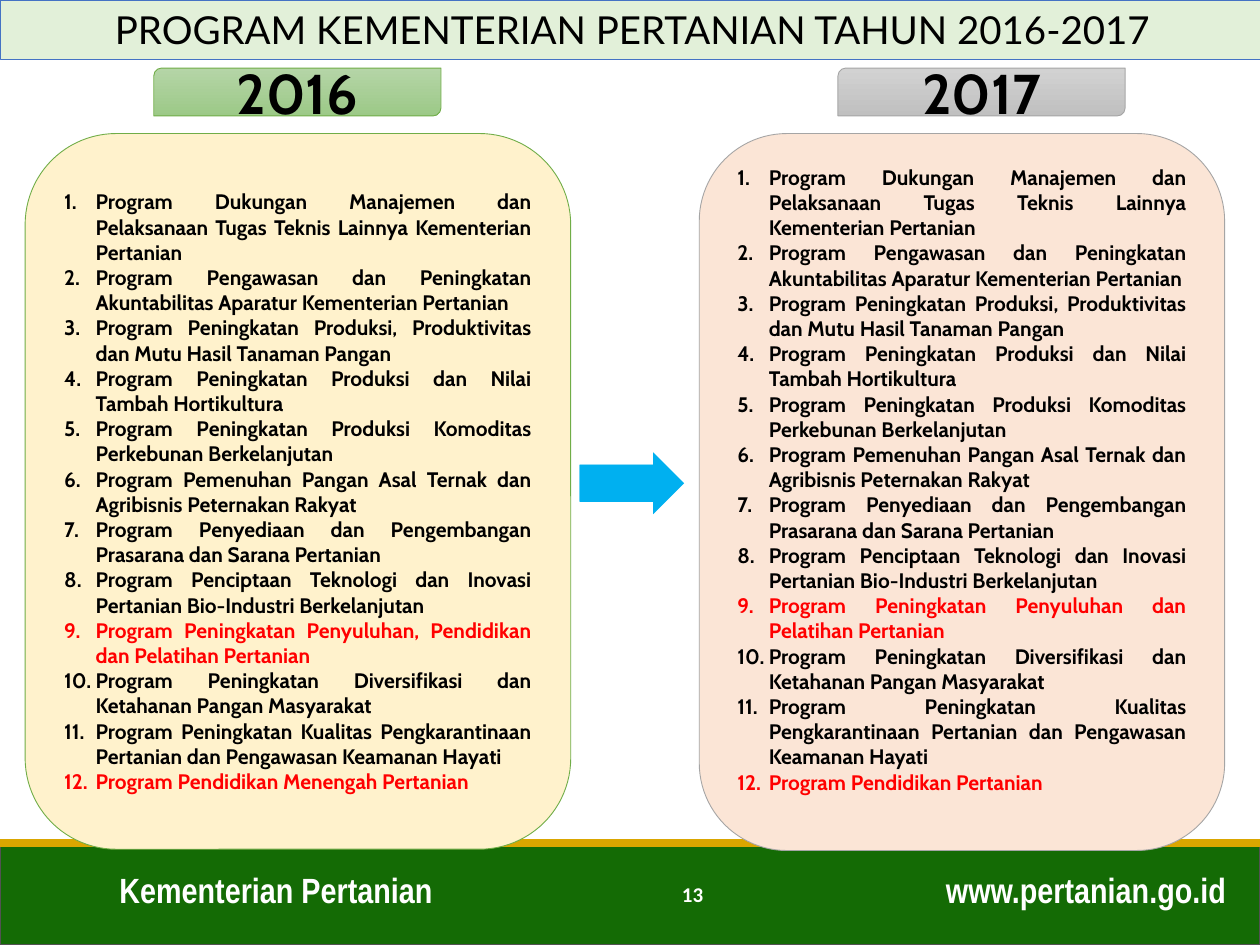
from pptx import Presentation
from pptx.dml.color import RGBColor
from pptx.enum.shapes import MSO_CONNECTOR, MSO_SHAPE as SHAPE
from pptx.enum.text import MSO_ANCHOR as ANCHOR, MSO_AUTO_SIZE, PP_ALIGN as ALIGN
from pptx.oxml.ns import qn
from pptx.util import Inches, Pt
from lxml import etree

TITLE = "PROGRAM KEMENTERIAN PERTANIAN TAHUN 2016-2017"
SHARED_START = [
    "Program Dukungan Manajemen dan Pelaksanaan Tugas Teknis Lainnya Kementerian Pertanian",
    "Program Pengawasan dan Peningkatan Akuntabilitas Aparatur Kementerian Pertanian",
    "Program Peningkatan Produksi, Produktivitas dan Mutu Hasil Tanaman Pangan",
    "Program Peningkatan Produksi dan Nilai Tambah Hortikultura",
    "Program Peningkatan Produksi Komoditas Perkebunan Berkelanjutan",
    "Program Pemenuhan Pangan Asal Ternak dan Agribisnis Peternakan Rakyat",
    "Program Penyediaan dan Pengembangan Prasarana dan Sarana Pertanian",
    "Program Penciptaan Teknologi dan Inovasi Pertanian Bio-Industri Berkelanjutan",
]
SHARED_END = [
    "Program Peningkatan Diversifikasi dan Ketahanan Pangan Masyarakat",
    "Program Peningkatan Kualitas Pengkarantinaan Pertanian dan Pengawasan Keamanan Hayati",
]
YEARS = [
    {"year": "2017", "panel": (5.55, 1.06, 4.17, 5.69), "fill": "FBE5D6", "line": "A5A5A5",
     "tab_left": 6.65, "tab_fill": ("D2D2D2", "C0C0C0"), "bottom": 0.25,
     "counselling": "Program Peningkatan Penyuluhan dan Pelatihan Pertanian",
     "education": "Program Pendidikan Pertanian"},
    {"year": "2016", "panel": (0.2, 1.06, 4.33, 5.68), "fill": "FFF2CC", "line": "70AD47",
     "tab_left": 1.22, "tab_fill": ("B5D5A7", "9CC987"), "bottom": 0.05,
     "counselling": "Program Peningkatan Penyuluhan, Pendidikan dan Pelatihan Pertanian",
     "education": "Program Pendidikan Menengah Pertanian"},
]
FOOTER = [
    ("Kementerian Pertanian", (0.85, 6.84, 3.66, 0.44), ALIGN.LEFT, 20, "Arial Narrow"),
    ("www.pertanian.go.id", (7.05, 6.84, 2.78, 0.44), ALIGN.RIGHT, 20, "Arial Narrow"),
    ("13", (3.43, 6.9, 2.25, 0.4), ALIGN.RIGHT, 12, "Calibri"),
]
ARROW = [(SHAPE.RIGHT_ARROW, (4.6, 3.59, 0.83, 0.49)), (SHAPE.RECTANGLE, (4.6, 3.69, 0.68, 0.29))]
FRAME = {"word_wrap": True, "auto_size": MSO_AUTO_SIZE.NONE, "vertical_anchor": ANCHOR.MIDDLE}


def rgb(value):
    return RGBColor.from_string(value)


def paint(shape, fill, line=None, width=0.5):
    if isinstance(fill, tuple):
        shape.fill.gradient()
        shape.fill.gradient_angle = 270
        for stop, colour in zip(shape.fill.gradient_stops, fill):
            stop.color.rgb = rgb(colour)
    else:
        shape.fill.solid()
        shape.fill.fore_color.rgb = rgb(fill)
    if line:
        shape.line.color.rgb = rgb(line)
        shape.line.width = Pt(width)
    else:
        shape.line.fill.background()


def add_block(slide, kind, box, fill, line=None, width=0.5):
    shape = slide.shapes.add_shape(kind, *map(Inches, box))
    shape.shadow.inherit = False
    paint(shape, fill, line, width)
    return shape


def write(shape, lines, align, **font):
    frame = shape.text_frame
    for key, value in FRAME.items():
        setattr(frame, key, value)
    for i, (text, colour) in enumerate(lines):
        paragraph = frame.paragraphs[0] if i == 0 else frame.add_paragraph()
        paragraph.alignment = align
        run = paragraph.add_run()
        run.text = text
        run.font.color.rgb = rgb(colour)
        for key, value in font.items():
            setattr(run.font, key, value)


def number(paragraph):
    props = paragraph._p.get_or_add_pPr()
    props.set("marL", str(Inches(0.25)))
    props.set("indent", str(-Inches(0.25)))
    etree.SubElement(props, qn("a:buFont"), typeface="+mj-lt")
    etree.SubElement(props, qn("a:buAutoNum"), type="arabicPeriod")


def add_footer(slide):
    add_block(slide, SHAPE.RECTANGLE, (0, 6.69, 10, 0.81), "146B05", "525252", 1)
    stripe = slide.shapes.add_connector(
        MSO_CONNECTOR.STRAIGHT, 0, Inches(6.69), Inches(10), Inches(6.69))
    stripe.line.color.rgb = rgb("DAA600")
    stripe.line.width = Pt(4.5)
    etree.SubElement(stripe._element.spPr, qn("a:effectLst"))
    for text, box, align, size, face in FOOTER:
        label = slide.shapes.add_textbox(*map(Inches, box))
        write(label, [(text, "FFFFFF")], align, size=Pt(size), name=face, bold=True)


def add_year(slide, plan):
    panel = add_block(slide, SHAPE.ROUNDED_RECTANGLE, plan["panel"], plan["fill"], plan["line"])
    programs = [(text, "000000") for text in SHARED_START]
    programs.append((plan["counselling"], "FF0000"))
    programs += [(text, "000000") for text in SHARED_END]
    programs.append((plan["education"], "FF0000"))
    write(panel, programs, ALIGN.JUSTIFY, size=Pt(12), name="Cabin", bold=True)
    panel.text_frame.margin_bottom = Inches(plan["bottom"])
    for paragraph in panel.text_frame.paragraphs:
        number(paragraph)
    tab = add_block(slide, SHAPE.ROUND_2_DIAG_RECTANGLE, (plan["tab_left"], 0.54, 2.28, 0.38),
                    plan["tab_fill"], plan["line"])
    write(tab, [(plan["year"], "000000")], ALIGN.CENTER, size=Pt(32), name="Cabin", bold=True)


def main():
    deck = Presentation()
    deck.slide_width, deck.slide_height = Inches(10), Inches(7.5)
    slide = deck.slides.add_slide(deck.slide_layouts[5])

    title = slide.shapes.title
    place = dict(zip(("left", "top", "width", "height"), map(Inches, (0, 0, 10.04, 0.47))))
    for key, value in place.items():
        setattr(title, key, value)
    paint(title, "E2F0D9", "4472C4")
    write(title, [(TITLE, "000000")], ALIGN.CENTER, size=Pt(22), name="Lato")

    add_footer(slide)
    for plan in YEARS:
        add_year(slide, plan)
    for kind, box in ARROW:
        part = add_block(slide, kind, box, "00B0F0")
        if kind == SHAPE.RIGHT_ARROW:
            part.adjustments[0] = 0.6
    deck.save("out.pptx")


if __name__ == "__main__":
    main()
